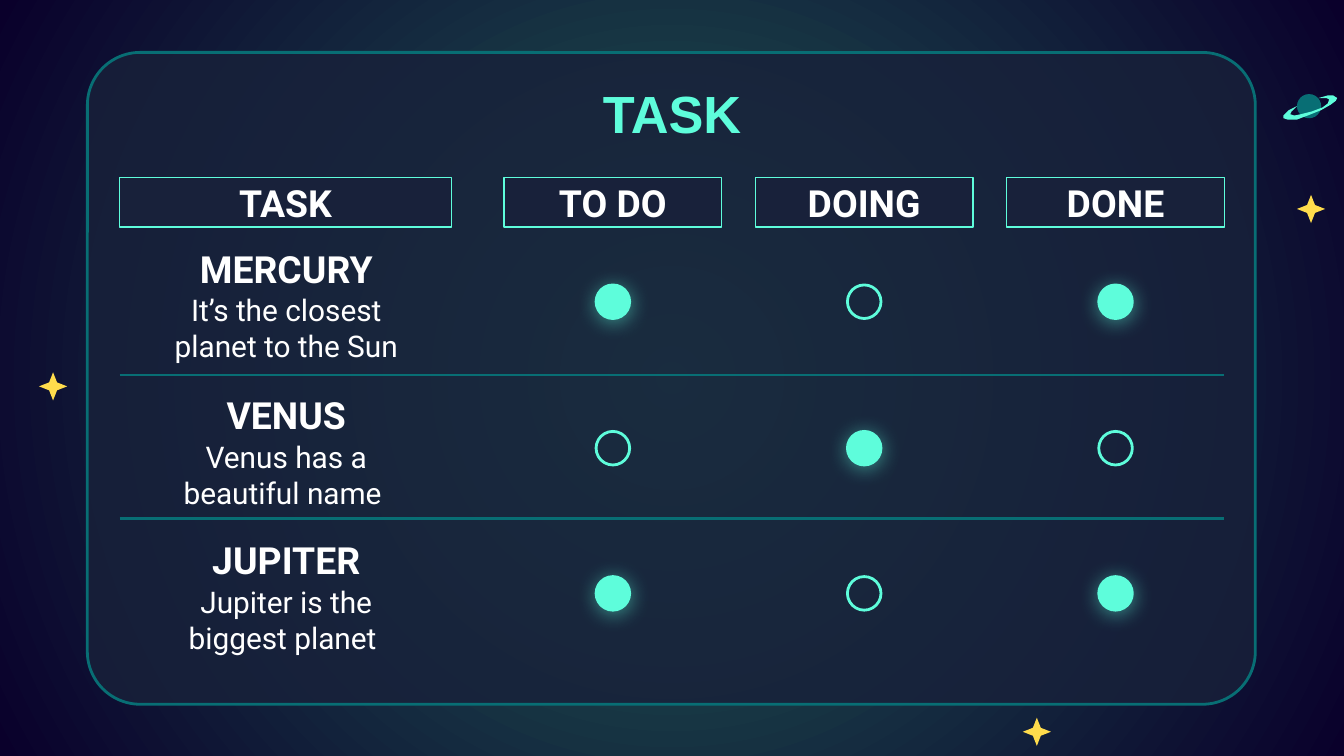
from lxml import etree
from pptx import Presentation
from pptx.dml.color import RGBColor
from pptx.enum.shapes import MSO_CONNECTOR, MSO_SHAPE
from pptx.enum.text import MSO_ANCHOR, PP_ALIGN
from pptx.oxml import parse_xml
from pptx.oxml.ns import nsdecls, qn
from pptx.util import Inches, Pt

COLORS = {
    "glow": "215F57", "night": "0A002B", "panel": "18213A", "teal": "086E74",
    "mint": "5EFDDB", "yellow": "FFDC4C", "white": "FFFFFF",
}


def style(shape, fill=None, line=None, width=1.5):
    shape.shadow.inherit = False
    if fill:
        shape.fill.solid()
        shape.fill.fore_color.rgb = RGBColor.from_string(COLORS[fill])
    else:
        shape.fill.background()
    if line:
        shape.line.color.rgb = RGBColor.from_string(COLORS[line])
        shape.line.width = Pt(width)
    else:
        shape.line.fill.background()
    return shape


def write(shape, text, size=20, font="Roboto", color="white", bold=True,
          anchor=MSO_ANCHOR.MIDDLE, inset=0.1):
    frame = shape.text_frame
    frame.word_wrap = True
    frame.vertical_anchor = anchor
    frame.margin_left = frame.margin_right = Inches(0.1)
    frame.margin_top = frame.margin_bottom = Inches(inset)
    paragraph = frame.paragraphs[0]
    paragraph.alignment = PP_ALIGN.CENTER
    run = paragraph.add_run()
    run.text = text
    run.font.size = Pt(size)
    run.font.name = font
    run.font.bold = bold
    run.font.color.rgb = RGBColor.from_string(COLORS[color])


presentation = Presentation()
presentation.slide_width = Inches(10)
presentation.slide_height = Inches(10 * 9 / 16)
slide = presentation.slides.add_slide(presentation.slide_layouts[6])
shapes = slide.shapes

# Radial night-sky background
background = slide.background.fill
background.gradient()
for stop, name in zip(background.gradient_stops, ("glow", "night")):
    stop.color.rgb = RGBColor.from_string(COLORS[name])
linear = next(slide.element.iter(qn("a:lin")))
linear.getparent().replace(linear, parse_xml(
    f'<a:path {nsdecls("a")} path="circle">'
    '<a:fillToRect l="50000" t="50000" r="50000" b="50000"/></a:path>'))

# Translucent rounded panel
panel = style(shapes.add_shape(MSO_SHAPE.ROUNDED_RECTANGLE, Inches(0.65), Inches(0.39),
                               Inches(8.69), Inches(4.85)), "panel", "teal")
panel.adjustments[0] = 0.081
panel_color = next(panel.element.spPr.iter(qn("a:srgbClr")))
etree.SubElement(panel_color, qn("a:alpha")).set("val", "82000")

# Ringed planet, ring outline in hundredths of an inch
style(shapes.add_shape(MSO_SHAPE.OVAL, Inches(9.65), Inches(0.7),
                       Inches(0.18), Inches(0.18)), "teal")
ring_points = [
    (988, 71), (981, 73), (987, 73), (989, 74), (988, 77), (984, 80), (976, 83),
    (968, 85), (963, 86), (960, 85), (961, 83), (965, 79), (959, 82), (955, 86),
    (955, 88), (958, 89), (965, 89), (973, 86), (983, 82), (990, 78), (994, 75),
    (995, 73), (992, 71),
]
ring = shapes.build_freeform(*ring_points[0], scale=Inches(0.01))
ring.add_line_segments(ring_points[1:], close=True)
style(ring.convert_to_shape(), "mint")

for left, top in [(9.65, 1.45), (7.61, 5.34), (0.29, 2.77)]:
    star = style(shapes.add_shape(MSO_SHAPE.STAR_4_POINT, Inches(left), Inches(top),
                                  Inches(0.21), Inches(0.21)), "yellow")
    star.adjustments[0] = 0.2

title = shapes.add_textbox(Inches(0.78), Inches(0.64), Inches(8.44), Inches(0.4))
write(title, "TASK", size=28, font="Arial", color="mint")

# Column headers
STATUS_LEFT, STATUS_STEP, STATUS_WIDTH = 3.75, 1.87, 1.62
status_lefts = [STATUS_LEFT + STATUS_STEP * column for column in range(3)]
headers = [("TASK", 0.89, 2.47)] + [
    (label, left, STATUS_WIDTH)
    for label, left in zip(("TO DO", "DOING", "DONE"), status_lefts)]
for label, left, width in headers:
    header = style(shapes.add_shape(MSO_SHAPE.RECTANGLE, Inches(left), Inches(1.32),
                                    Inches(width), Inches(0.37)), "panel", "mint", 0.75)
    write(header, label)

# Task rows: name, description, filled status circles
tasks = [
    (1.83, "MERCURY", "It’s the closest planet to the Sun", (True, False, True)),
    (2.92, "VENUS", "Venus has a beautiful name ", (False, True, False)),
    (4.00, "JUPITER", "Jupiter is the biggest planet ", (True, False, True)),
]
DOT = 0.25
for top, name, description, statuses in tasks:
    name_box = shapes.add_textbox(Inches(1.17), Inches(top), Inches(1.92), Inches(0.27))
    write(name_box, name, anchor=MSO_ANCHOR.TOP, inset=0)
    description_box = shapes.add_textbox(Inches(1.14), Inches(top + 0.41),
                                         Inches(1.98), Inches(0.4))
    write(description_box, description, size=16, bold=False)
    for left, filled in zip(status_lefts, statuses):
        dot = style(shapes.add_shape(
            MSO_SHAPE.OVAL, Inches(left + (STATUS_WIDTH - DOT) / 2), Inches(top + 0.29),
            Inches(DOT), Inches(DOT)), "mint" if filled else None, "mint")
        if filled:
            effects = dot.element.spPr.find(qn("a:effectLst"))
            effects.append(parse_xml(
                f'<a:outerShdw {nsdecls("a")} blurRad="{Pt(11.2)}" dist="{Pt(1.5)}" '
                'dir="4860000" algn="bl" rotWithShape="0">'
                f'<a:srgbClr val="{COLORS["mint"]}"><a:alpha val="50000"/></a:srgbClr>'
                '</a:outerShdw>'))

for y in (2.79, 3.86):
    divider = shapes.add_connector(MSO_CONNECTOR.STRAIGHT, Inches(0.89), Inches(y),
                                   Inches(9.11), Inches(y))
    divider.line.color.rgb = RGBColor.from_string(COLORS["teal"])
    divider.line.width = Pt(1.5)
    etree.SubElement(divider.element.spPr, qn("a:effectLst"))

presentation.save("out.pptx")
